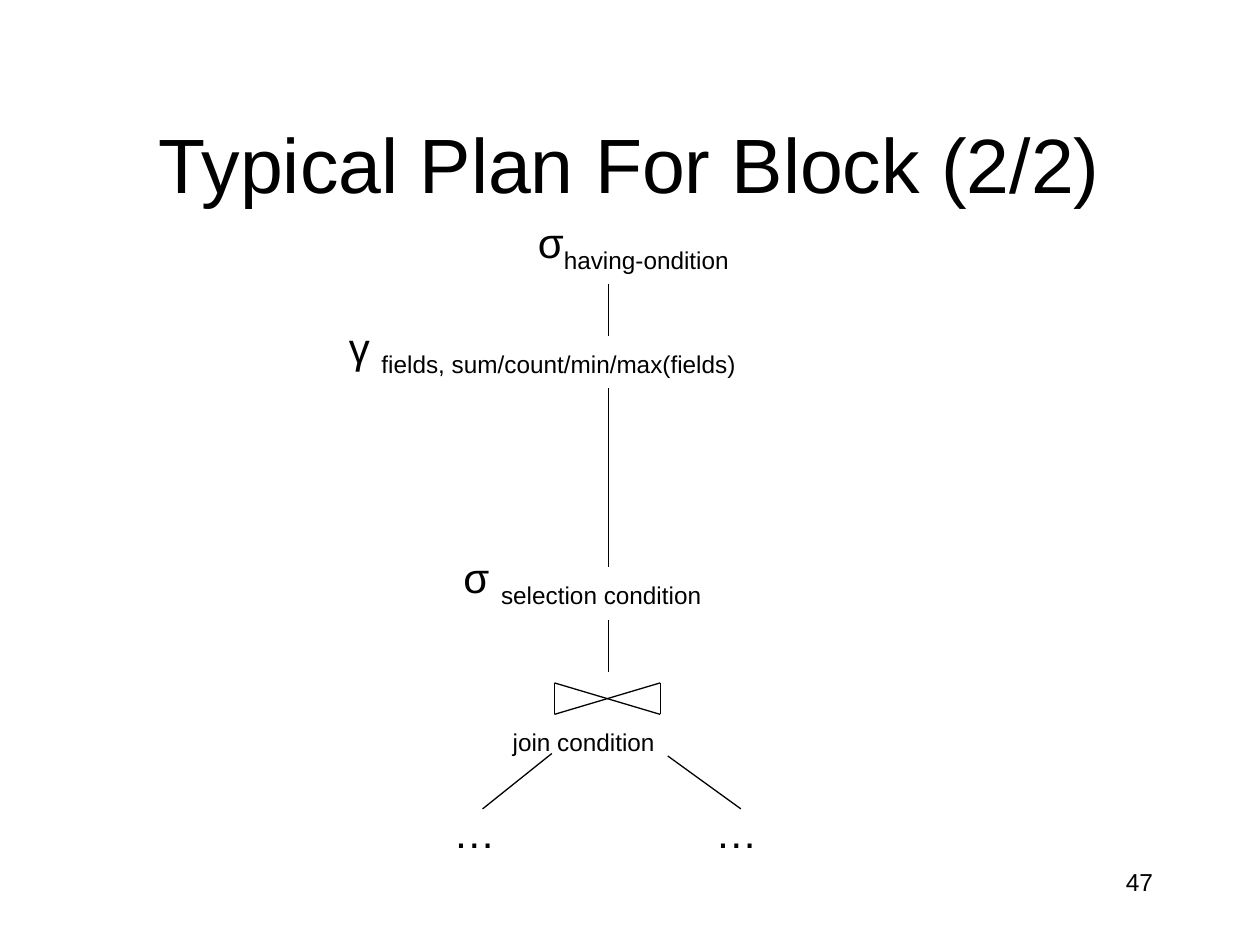
from pptx import Presentation
from pptx.dml.color import RGBColor
from pptx.enum.shapes import MSO_CONNECTOR
from pptx.enum.text import MSO_ANCHOR, MSO_AUTO_SIZE, PP_ALIGN
from pptx.oxml.ns import qn
from pptx.util import Inches, Pt
from lxml import etree

BLACK = RGBColor(0, 0, 0)
STEM = 4.83
LEFT, RIGHT, TOP, BOTTOM = 4.4, 5.24, 5.42, 5.67

prs = Presentation()
prs.slide_width, prs.slide_height = Inches(10), Inches(7.5)
s = prs.slides.add_slide(prs.slide_layouts[5])


def style(p, size, align):
    p.alignment = align
    p.font.name = "Arial"
    p.font.size = Pt(size)
    p.font.color.rgb = BLACK


def add_line(shapes, x1, y1, x2, y2):
    line = shapes.add_connector(
        MSO_CONNECTOR.STRAIGHT, Inches(x1), Inches(y1), Inches(x2), Inches(y2)
    )
    line.line.color.rgb = BLACK
    line.line.width = Pt(0.75)
    etree.SubElement(line._element.spPr, qn("a:effectLst"))


title = s.shapes.title
title.left, title.top = Inches(0.75), Inches(0.67)
title.width, title.height = Inches(8.5), Inches(1.25)
tf = title.text_frame
tf.text = "Typical Plan For Block (2/2)"
tf.vertical_anchor = MSO_ANCHOR.MIDDLE
style(tf.paragraphs[0], 44, PP_ALIGN.CENTER)

operators = [
    (4.17, 1.67, 1.91, 0.5, "σ", "having-ondition"),
    (2.67, 2.5, 3.66, 0.5, "γ ", "fields, sum/count/min/max(fields)"),
    (3.58, 4.33, 2.31, 0.5, "σ ", "selection condition"),
    (3.97, 5.5, 1.49, 0.37, "", "join condition"),
    (3.5, 6.35, 0.53, 0.5, "…", ""),
    (5.58, 6.35, 0.53, 0.5, "…", ""),
]
for x, y, w, h, symbol, subscript in operators:
    tf = s.shapes.add_textbox(Inches(x), Inches(y), Inches(w), Inches(h)).text_frame
    tf.word_wrap = False
    tf.auto_size = MSO_AUTO_SIZE.SHAPE_TO_FIT_TEXT
    p = tf.paragraphs[0]
    style(p, 24, PP_ALIGN.LEFT)
    if symbol:
        p.add_run().text = symbol
    if subscript:
        r = p.add_run()
        r.text = subscript
        r.font._element.set("baseline", "-25000")

for y1, y2 in [(2.25, 2.67), (3.08, 4.5), (4.92, 5.33)]:
    add_line(s.shapes, STEM, y1, STEM, y2)
add_line(s.shapes, 4.38, 5.98, 3.83, 6.42)
add_line(s.shapes, 5.3, 6, 5.88, 6.42)

join = s.shapes.add_group_shape()
for x1, x2 in [(LEFT, LEFT), (RIGHT, RIGHT), (LEFT, RIGHT), (RIGHT, LEFT)]:
    add_line(join.shapes, x1, TOP, x2, BOTTOM)

number = s.shapes.add_textbox(Inches(7.17), Inches(6.83), Inches(2.08), Inches(0.5))
tf = number.text_frame
tf.word_wrap = True
tf.text = "47"
style(tf.paragraphs[0], 14, PP_ALIGN.RIGHT)

prs.save("out.pptx")
